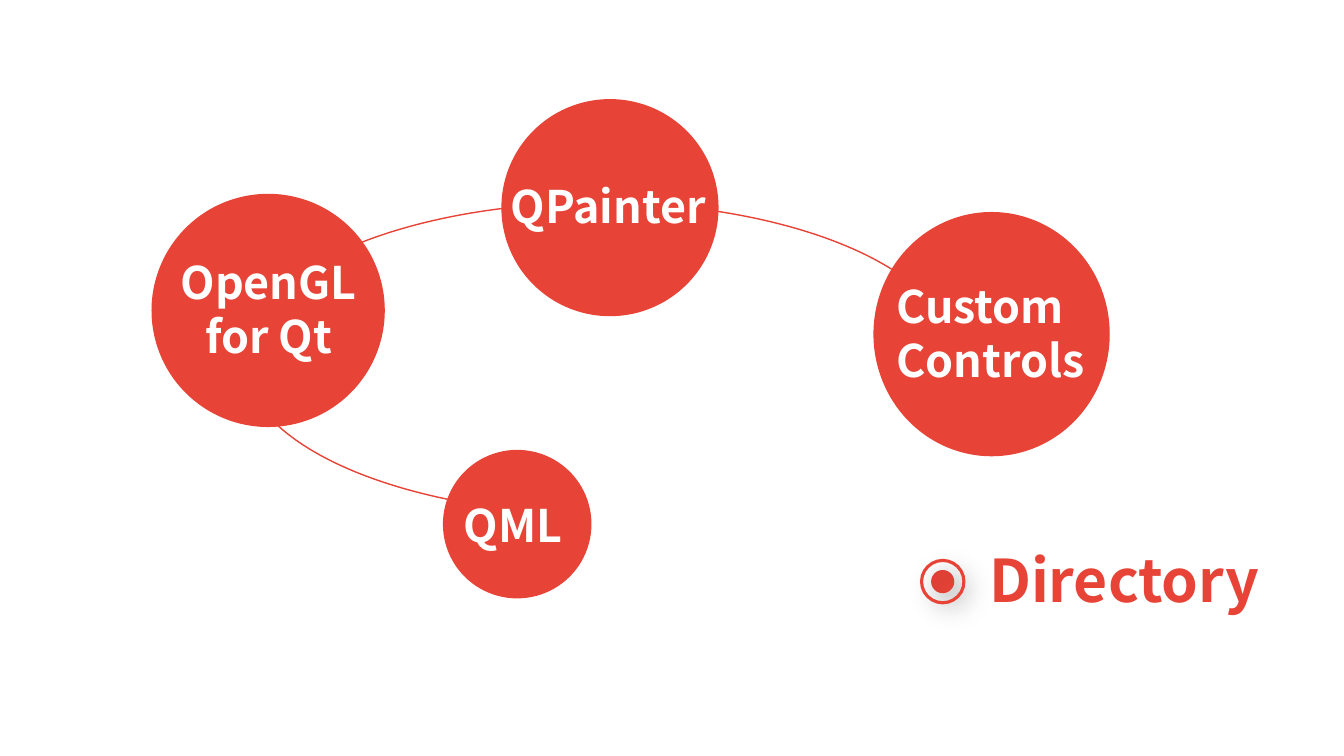
from lxml.etree import SubElement
from pptx import Presentation
from pptx.dml.color import RGBColor
from pptx.enum.shapes import MSO_SHAPE
from pptx.enum.text import MSO_ANCHOR, MSO_AUTO_SIZE, PP_ALIGN
from pptx.oxml.ns import qn
from pptx.util import Inches, Pt

RED = RGBColor(0xE7, 0x43, 0x37)
WHITE = RGBColor(0xFF, 0xFF, 0xFF)
FONT = "Noto Sans CJK SC"

TITLE = "Directory"
TITLE_PLACE = (9.71, 5.34, 2.95, 0.85)
ORBIT_PLACE = (2.41, 2.01, 7.07, 3.09)
ORBIT_ARCS = [(136.83, 172.08), (203.15, 240.17), (306.54, 343.88)]
TOPICS = [
    (["Custom", "Controls"], (8.67, 2.11, 2.33, 2.41), (8.79, 2.72, 2.09, 1.2), PP_ALIGN.LEFT),
    (["OpenGL", "for Qt"], (1.51, 1.93, 2.3, 2.3), (1.67, 2.48, 1.99, 1.2), PP_ALIGN.CENTER),
    (["QML"], (4.4, 4.47, 1.46, 1.46), (4.5, 4.89, 1.26, 0.67), PP_ALIGN.LEFT),
    (["QPainter"], (4.98, 0.99, 2.14, 2.14), (4.96, 1.72, 2.15, 0.67), PP_ALIGN.CENTER),
]
MARKER_CENTER = (9.35, 5.77)
DOT_SIZE = 0.23
RING_SIZE = 0.42


def inches(place):
    return [Inches(value) for value in place]


def add_outline(page, kind, place, fill=None, line_width=None):
    shape = page.shapes.add_shape(kind, *inches(place))
    shape.shadow.inherit = False
    if fill is None:
        shape.fill.background()
    else:
        shape.fill.solid()
        shape.fill.fore_color.rgb = fill
    if line_width is None:
        shape.line.fill.background()
    else:
        shape.line.color.rgb = RED
        shape.line.width = Pt(line_width)
    return shape


def write_lines(box, lines, size, color, alignment):
    frame = box.text_frame
    frame.text = "\n".join(lines)
    frame.word_wrap = False
    frame.auto_size = MSO_AUTO_SIZE.SHAPE_TO_FIT_TEXT
    frame.vertical_anchor = MSO_ANCHOR.TOP
    for paragraph in frame.paragraphs:
        paragraph.alignment = alignment
        font = paragraph.font
        font.name = FONT
        font.size = Pt(size)
        font.bold = True
        font.color.rgb = color
        east_asian = SubElement(font._element, qn("a:ea"))
        east_asian.set("typeface", FONT)


def add_soft_shadow(shape):
    effects = shape._element.spPr.find(qn("a:effectLst"))
    shadow = SubElement(effects, qn("a:outerShdw"), blurRad=str(Pt(15)),
                        dist=str(Pt(8)), dir=str(45 * 60000),
                        algn="tl", rotWithShape="0")
    color = SubElement(shadow, qn("a:srgbClr"), val="000000")
    SubElement(color, qn("a:alpha"), val="26000")


def add_marker(page, size, fill=None, line_width=None):
    left, top = (center - size / 2 for center in MARKER_CENTER)
    marker = add_outline(page, MSO_SHAPE.OVAL, (left, top, size, size), fill, line_width)
    add_soft_shadow(marker)


def main():
    deck = Presentation()
    deck.slide_width, deck.slide_height = inches((13.33, 7.5))
    page = deck.slides.add_slide(deck.slide_layouts[5])

    for start, end in ORBIT_ARCS:
        arc = add_outline(page, MSO_SHAPE.ARC, ORBIT_PLACE, line_width=1)
        arc.adjustments[0] = start * 0.6
        arc.adjustments[1] = end * 0.6

    for lines, circle_place, label_place, alignment in TOPICS:
        add_outline(page, MSO_SHAPE.OVAL, circle_place, RED, 1)
        label = page.shapes.add_textbox(*inches(label_place))
        write_lines(label, lines, 32, WHITE, alignment)

    title = page.shapes.title
    title.left, title.top, title.width, title.height = inches(TITLE_PLACE)
    write_lines(title, [TITLE], 42, RED, PP_ALIGN.LEFT)

    add_marker(page, DOT_SIZE, fill=RED)
    add_marker(page, RING_SIZE, line_width=2.25)

    deck.save("out.pptx")


if __name__ == "__main__":
    main()
